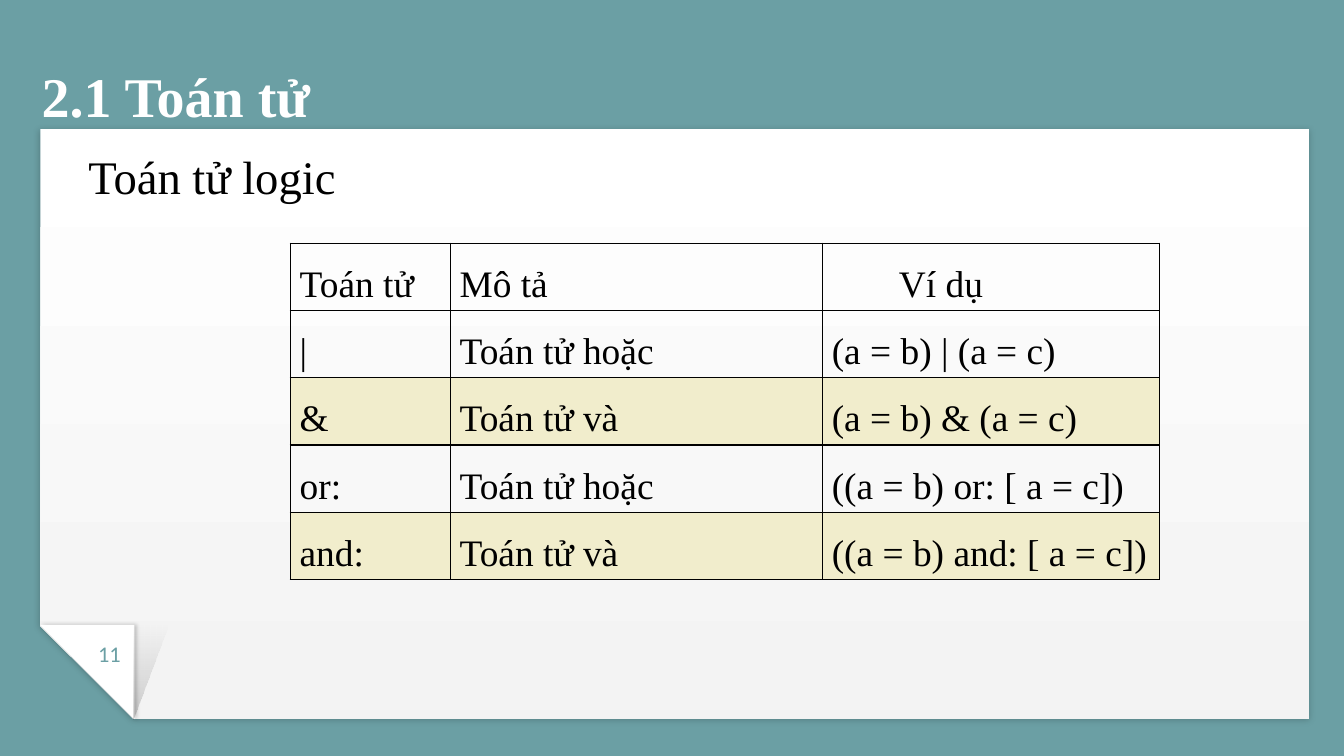
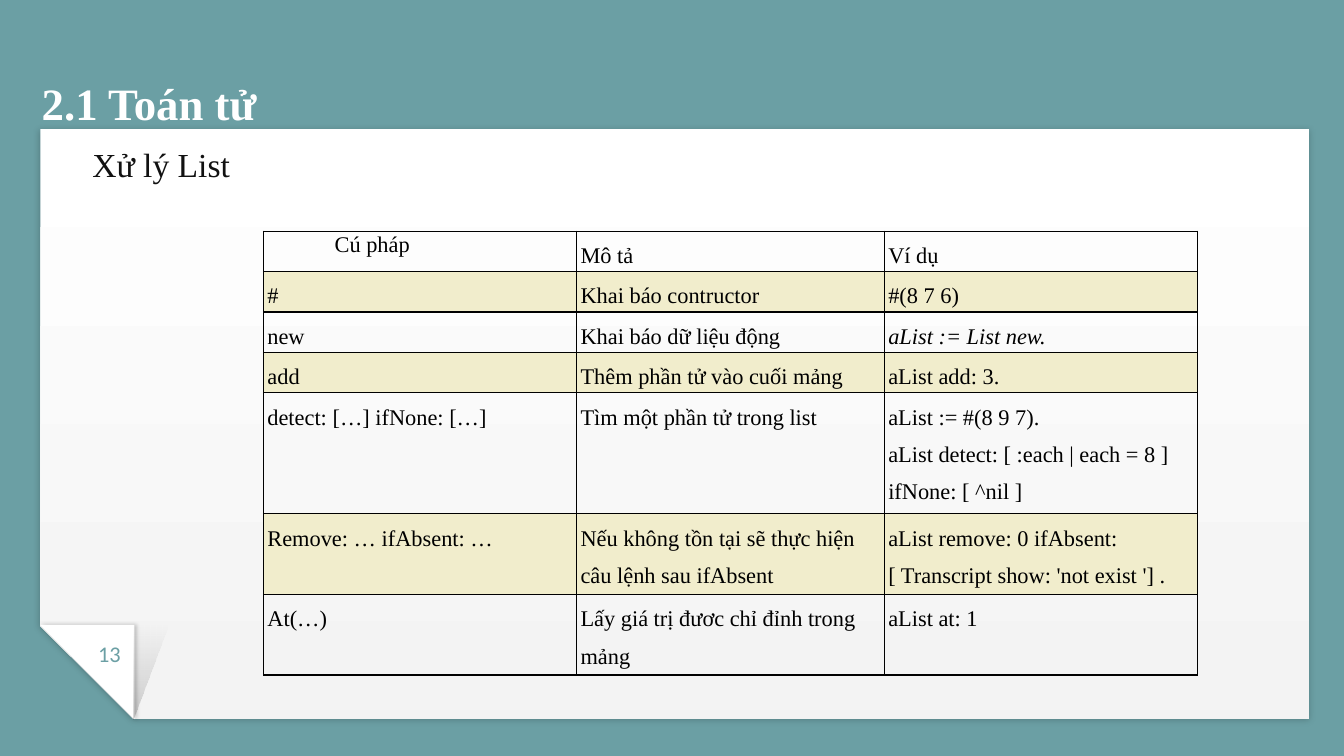
from dataclasses import dataclass
from typing import Any, NamedTuple

from lxml.etree import SubElement as sub
from pptx import Presentation
from pptx.dml.color import RGBColor
from pptx.enum.shapes import MSO_SHAPE as Kind
from pptx.enum.text import MSO_ANCHOR as Anchor, PP_ALIGN as Align
from pptx.oxml import parse_xml
from pptx.oxml.ns import nsdecls, qn
from pptx.util import Emu, Inches, Pt

COLS, ROWS = 100, 56.25
TEAL, WHITE, PALE = "6B9FA4", "FFFFFF", "F3F3F3"
BLACK, INK, SAND = "000000", "111111", "F1EDCC"
SERIF, SANS = "Times New Roman", "Calibri"

deck = Presentation()
deck.slide_width, deck.slide_height = Inches(10), Inches(5.625)
UNIT = deck.slide_width / COLS


class Area(NamedTuple):
    x: float
    y: float
    w: float
    h: float


@dataclass
class Stop:
    hue: str
    alpha: int = 100


@dataclass
class Part:
    kind: Kind
    area: Area
    stops: tuple[Stop, ...]
    angle: int = 0
    blur: float = 0
    way: int = 0
    snip: float = 0
    flip: bool = False


@dataclass
class Cell:
    text: str
    left: float = 0
    first: float = 0
    gap: float = 1.5
    after: float = 0
    italic: bool = False


@dataclass
class Grid:
    x: float
    y: float
    widths: tuple[float, ...]
    line: float
    lines: tuple[int, ...]
    size: int
    pad: float
    bands: tuple[int, ...]
    cells: list[list[Any]]


@dataclass
class Page:
    number: int
    size: int
    head: str
    area: Area
    style: dict[str, Any]
    grid: Grid


def span(n: float) -> Emu:
    return Emu(round(n * UNIT))


def place(area: Area) -> list[Emu]:
    return [span(n) for n in area]


def color(code: str) -> RGBColor:
    return RGBColor.from_string(code)


def write(frame, text: str, *, size: float, font: str = SERIF, hue: str = BLACK,
          bold: bool = False, italic: bool = False, align: Align = Align.LEFT,
          left: float = 0, first: float = 0, gap: float = 1,
          before: float = 0, after: float = 0) -> None:
    frame.word_wrap = True
    for i, line in enumerate(text.split("\n")):
        para = frame.add_paragraph() if i else frame.paragraphs[0]
        para.alignment, para.line_spacing = align, gap
        para.space_before, para.space_after = Pt(before), Pt(after)
        props = para._p.get_or_add_pPr()
        props.set("marL", str(span(left)))
        props.set("indent", str(span(first)))
        run = para.add_run()
        run.text = line
        face = run.font
        face.name, face.size, face.color.rgb = font, Pt(size), color(hue)
        face.bold, face.italic = bold, italic


def label(slide, area: Area, text: str, *, pad: tuple[float, float] = (1, 1),
          anchor: Anchor = Anchor.TOP, **style: Any) -> None:
    frame = slide.shapes.add_textbox(*place(area)).text_frame
    frame.margin_left = frame.margin_right = span(pad[0])
    frame.margin_top = frame.margin_bottom = span(pad[1])
    frame.vertical_anchor = anchor
    write(frame, text, **style)


def draw(slide, part: Part) -> None:
    shape = slide.shapes.add_shape(part.kind, *place(part.area))
    shape.rotation = 180
    shape.line.fill.background()
    shape.shadow.inherit = False
    props = shape._element.spPr
    if part.snip:
        shape.adjustments[0] = part.snip
    if part.flip:
        props.find(qn("a:xfrm")).set("flipH", "1")
    if len(part.stops) == 1:
        shape.fill.solid()
        shape.fill.fore_color.rgb = color(part.stops[0].hue)
    else:
        shape.fill.gradient()
        shape.fill.gradient_angle = part.angle
        for mark, stop in zip(shape.fill.gradient_stops, part.stops):
            mark.color.rgb = color(stop.hue)
        for node, stop in zip(props.iter(qn("a:srgbClr")), part.stops):
            if stop.alpha < 100:
                sub(node, qn("a:alpha"), val=str(stop.alpha * 1000))
    if part.blur:
        cast = sub(props.find(qn("a:effectLst")), qn("a:outerShdw"),
                   blurRad=str(Pt(part.blur)), dist=str(Pt(0.8)),
                   dir=str(part.way * 60000), rotWithShape="0")
        tint = sub(cast, qn("a:srgbClr"), val=BLACK)
        sub(tint, qn("a:alpha"), val="20000")


def edge(cell) -> None:
    props = cell._tc.get_or_add_tcPr()
    for i, side in enumerate("LRTB"):
        props.insert(i, parse_xml(
            f'<a:ln{side} {nsdecls("a")} w="{Pt(0.75)}"><a:solidFill>'
            f'<a:srgbClr val="{BLACK}"/></a:solidFill></a:ln{side}>'))


def tabulate(slide, grid: Grid) -> None:
    area = Area(grid.x, grid.y, sum(grid.widths), grid.line * sum(grid.lines))
    table = slide.shapes.add_table(
        len(grid.lines), len(grid.widths), *place(area)).table
    table.first_row = table.horz_banding = False
    for col, width in zip(table.columns, grid.widths):
        col.width = span(width)
    for r, (row, count) in enumerate(zip(grid.cells, grid.lines)):
        table.rows[r].height = span(grid.line * count)
        for c, item in enumerate(row):
            item = item if isinstance(item, Cell) else Cell(item)
            cell = table.cell(r, c)
            cell.margin_left = cell.margin_right = span(grid.pad)
            cell.margin_top = cell.margin_bottom = 0
            if r in grid.bands:
                cell.fill.solid()
                cell.fill.fore_color.rgb = color(SAND)
            else:
                cell.fill.background()
            edge(cell)
            write(cell.text_frame, item.text, size=grid.size, left=item.left,
                  first=item.first, gap=item.gap, after=item.after,
                  italic=item.italic)


LEFT, TOP, FOLD = 3, 9.6, 7
BASE = 53.5
PAPER = (
    Part(Kind.SNIP_1_RECTANGLE, Area(LEFT, TOP, 94.4, BASE - TOP),
         (Stop(WHITE), Stop(PALE)), angle=90, blur=3.4, way=90, snip=0.158),
    Part(Kind.RIGHT_TRIANGLE, Area(LEFT, BASE - FOLD, FOLD, FOLD),
         (Stop(WHITE),), blur=2.2),
    Part(Kind.RIGHT_TRIANGLE, Area(LEFT + FOLD - 0.1, BASE - FOLD, 2.6, FOLD),
         (Stop(BLACK, 17), Stop(BLACK, 0)), angle=270, flip=True),
)


def build(page: Page) -> None:
    slide = deck.slides.add_slide(deck.slide_layouts[6])
    back = slide.background.fill
    back.solid()
    back.fore_color.rgb = color(TEAL)
    for part in PAPER:
        draw(slide, part)
    label(slide, Area(3.1, 3.9, 91.9, 5.7), "2.1 Toán tử", pad=(0, 0),
          anchor=Anchor.BOTTOM, size=page.size, hue=WHITE, bold=True)
    label(slide, page.area, page.head, **page.style)
    label(slide, Area(5.6, 46.6, 5.1, 3.4), str(page.number), size=12,
          font=SANS, hue=TEAL, align=Align.CENTER)
    tabulate(slide, page.grid)


LOGIC = Grid(
    21.6, 18.1, (11.9, 27.7, 25.1), 5, (1,) * 5, 20, 0.7, (2, 4), [
        ["Toán tử", "Mô tả", Cell("Ví dụ", first=5)],
        ["|", "Toán tử hoặc", "(a = b) | (a = c)"],
        ["&", "Toán tử và", "(a = b) & (a = c)"],
        ["or:", "Toán tử hoặc", "((a = b) or: [ a = c])"],
        ["and:", "Toán tử và", "((a = b) and: [ a = c])"],
    ])

LISTS = Grid(
    19.6, 17.2, (23.3, 22.9, 23.3), 2.77, (1, 1, 1, 1, 3, 2, 2), 12, 0.3,
    (1, 3, 5), [
        [Cell("Cú pháp", left=5, gap=1.07, after=8), "Mô tả", "Ví dụ"],
        ["#", "Khai báo contructor", "#(8 7 6)"],
        ["new", "Khai báo dữ liệu động",
         Cell("aList := List new.", italic=True)],
        ["add", "Thêm phần tử vào cuối mảng", "aList add: 3."],
        ["detect: […] ifNone: […]", "Tìm một phần tử trong list",
         "aList := #(8 9 7).\n"
         "aList detect: [ :each | each = 8 ] ifNone: [ ^nil ]"],
        ["Remove: … ifAbsent: …",
         "Nếu không tồn tại sẽ thực hiện câu lệnh sau ifAbsent",
         "aList remove: 0 ifAbsent: [ Transcript show: 'not exist '] ."],
        ["At(…)", "Lấy giá trị đươc chỉ đỉnh trong mảng", "aList at: 1"],
    ])

PAGES = (
    Page(11, 30, "Toán tử logic", Area(5.6, 10.5, 33, 5.2),
         dict(size=25, pad=(1, 0.5)), LOGIC),
    Page(13, 24, "Xử lý List", Area(5.1, 9.7, 88, 4.4),
         dict(size=18, hue=INK, left=0.8, before=6), LISTS),
)

for page in PAGES:
    build(page)
deck.save("out.pptx")
